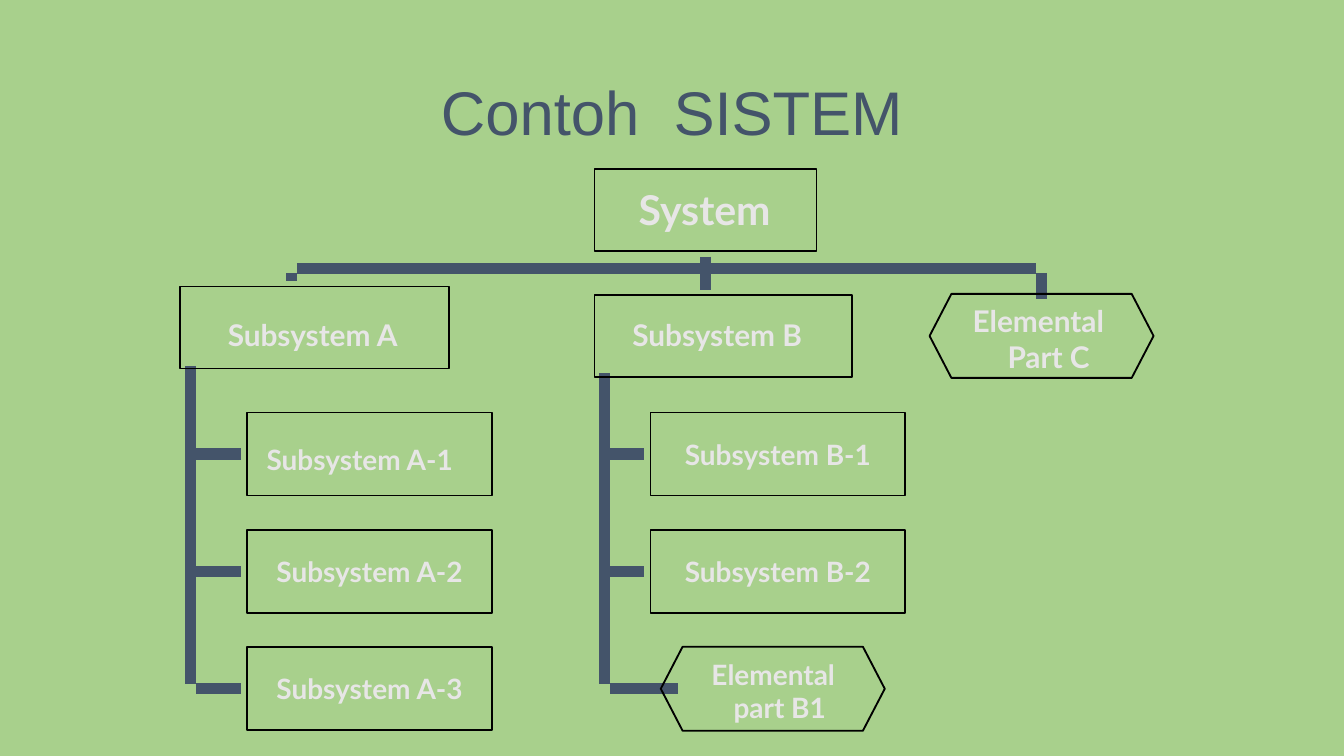
import pptx
import pptx.util
import pptx.dml.color
import pptx.enum.shapes
import pptx.enum.text
import pptx.oxml
import pptx.oxml.ns
from dataclasses import dataclass

Pt = pptx.util.Pt
SHAPE = pptx.enum.shapes.MSO_SHAPE
ANCHOR = pptx.enum.text.MSO_ANCHOR


def rgb(value):
    return pptx.dml.color.RGBColor.from_string(value)


@dataclass(frozen=True)
class Theme:
    background: str = "A8D08C"
    dark: str = "44546A"
    outline: str = "000000"
    label: str = "E7E6E6"
    title_font: str = "Arial"
    label_font: str = "Lato"
    title_size: float = 33
    root_size: float = 22
    branch_size: float = 16
    leaf_size: float = 15
    outline_width: float = 1
    link_width: float = 6


class Diagram:
    def __init__(self, slide, theme):
        self.s = slide
        self.theme = theme
        fill = slide.background.fill
        fill.solid()
        fill.fore_color.rgb = rgb(theme.background)

    def title(self, text, x, y, w, h):
        sp = self.s.shapes.title
        sp.left, sp.top, sp.width, sp.height = Pt(x), Pt(y), Pt(w), Pt(h)
        tf = sp.text_frame
        tf.text = text
        tf.vertical_anchor = ANCHOR.TOP
        tf.auto_size = pptx.enum.text.MSO_AUTO_SIZE.NONE
        p = tf.paragraphs[0]
        p.alignment = pptx.enum.text.PP_ALIGN.CENTER
        p.font.name = self.theme.title_font
        p.font.size = Pt(self.theme.title_size)
        p.font.color.rgb = rgb(self.theme.dark)

    def link(self, x1, y1, x2, y2):
        line = self.s.shapes.add_connector(
            pptx.enum.shapes.MSO_CONNECTOR.STRAIGHT, Pt(x1), Pt(y1), Pt(x2), Pt(y2))
        line.line.color.rgb = rgb(self.theme.dark)
        line.line.width = Pt(self.theme.link_width)
        spPr = line._element.spPr
        spPr.append(pptx.oxml.parse_xml(
            "<a:effectLst %s/>" % pptx.oxml.ns.nsdecls("a")))

    def box(self, x, y, w, h, text=None, kind=SHAPE.RECTANGLE):
        sp = self.s.shapes.add_shape(kind, Pt(x), Pt(y), Pt(w), Pt(h))
        sp.shadow.inherit = False
        sp.fill.background()
        sp.line.color.rgb = rgb(self.theme.outline)
        sp.line.width = Pt(self.theme.outline_width)
        if text:
            self.set_text(sp.text_frame, text, self.theme.leaf_size, ANCHOR.MIDDLE)
        return sp

    def hexagon(self, x, y):
        sp = self.box(x, y, 120, 45, kind=SHAPE.HEXAGON)
        sp.adjustments[0] = 0.26

    def label(self, text, x, y, w, h, size, indent=0):
        sp = self.s.shapes.add_textbox(Pt(x), Pt(y), Pt(w), Pt(h))
        self.set_text(sp.text_frame, text, size, ANCHOR.TOP, indent)

    def set_text(self, tf, text, size, anchor, indent=0):
        """Fill a frame with centred lines; indent shifts every line after the first."""
        tf.word_wrap = True
        tf.vertical_anchor = anchor
        tf.margin_left = tf.margin_right = Pt(6.5)
        tf.margin_top = tf.margin_bottom = Pt(3)
        tf.text = text
        for i, p in enumerate(tf.paragraphs):
            if i and indent:
                p._p.get_or_add_pPr().set("marL", str(Pt(indent)))
            p.alignment = pptx.enum.text.PP_ALIGN.CENTER
            p.font.name = self.theme.label_font
            p.font.size = Pt(size)
            p.font.bold = True
            p.font.color.rgb = rgb(self.theme.label)


def main():
    prs = pptx.Presentation()
    prs.slide_width, prs.slide_height = Pt(720), Pt(405)
    theme = Theme()
    d = Diagram(prs.slides.add_slide(prs.slide_layouts[5]), theme)
    d.title("Contoh  SISTEM", 54, 36, 612, 67.5)

    row_y = [243.25 + 62.75 * i for i in range(3)]
    leaf_h = 44.5

    # Links from the system to its three parts
    d.link(378, 137.5, 378, 155.5)
    d.link(159, 144, 555, 144)
    d.link(156, 146.25, 156, 150.5)
    d.link(558, 146.25, 558, 160)

    # Trunk, branches and leaves of each subsystem
    families = [
        (102, 196, [129, 129, 129], 132.5, 131,
         [None, "Subsystem A-2", "Subsystem A-3"]),
        (324, 200, [345, 345, 363], 348.5, 136.5,
         ["Subsystem B-1", "Subsystem B-2"]),
    ]
    for trunk_x, trunk_y, ends, leaf_x, leaf_w, names in families:
        d.link(trunk_x, trunk_y, trunk_x, 366.5)
        for y, end in zip(row_y, ends):
            d.link(trunk_x + 3, y, end, y)
        for y, name in zip(row_y, names):
            d.box(leaf_x, y - leaf_h / 2, leaf_w, leaf_h, name)

    d.box(318.5, 90.5, 119, 44)
    d.box(96.5, 153.5, 144, 44)
    d.box(318.5, 158, 138, 44)
    d.hexagon(498, 157.5)
    d.hexagon(354, 346.5)

    d.label("System", 326, 96, 103, 26.5, theme.root_size)
    d.label("Subsystem A", 94.5, 166.5, 146, 21.5, theme.branch_size)
    d.label("Subsystem B", 318, 166.5, 132.5, 21.5, theme.branch_size)
    d.label("Elemental\nPart C", 504, 159, 104.5, 37.5, theme.branch_size, 11)
    d.label("Subsystem A-1", 128, 234, 129.5, 34, theme.leaf_size)
    d.label("Elemental\npart B1", 367, 349, 94.5, 34, theme.leaf_size, 7)

    prs.save("out.pptx")


if __name__ == "__main__":
    main()
